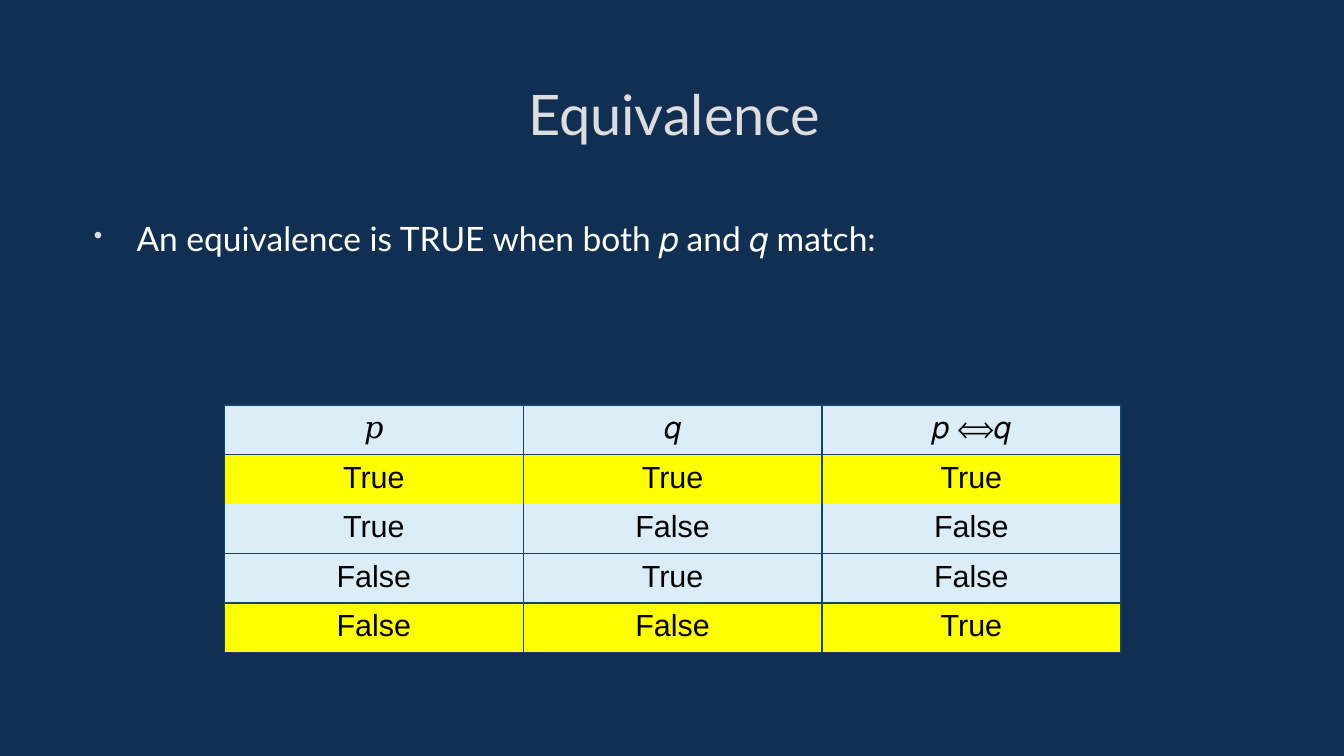
import pptx
import pptx.util
import pptx.dml.color
import pptx.enum.text
import pptx.oxml
import pptx.oxml.ns
import lxml.etree

RGBColor = pptx.dml.color.RGBColor
Inches = pptx.util.Inches
Pt = pptx.util.Pt
Align = pptx.enum.text.PP_ALIGN
Anchor = pptx.enum.text.MSO_ANCHOR

NAVY = RGBColor(0x11, 0x2F, 0x52)
BORDER_BLUE = RGBColor(0x17, 0x40, 0x6C)
PALE_BLUE = RGBColor(0xDB, 0xEE, 0xF8)
YELLOW = RGBColor(0xFF, 0xFF, 0x00)
SILVER = RGBColor(0xDD, 0xDD, 0xDD)
WHITE = RGBColor(0xFF, 0xFF, 0xFF)
BLACK = RGBColor(0x00, 0x00, 0x00)

HEADING = "Equivalence"
STATEMENT = "An equivalence is TRUE when both 𝑝 and 𝑞 match:"
TRUTH_TABLE = [
    ("𝑝", "𝑞", "𝑝 ⟺𝑞"),
    ("True", "True", "True"),
    ("True", "False", "False"),
    ("False", "True", "False"),
    ("False", "False", "True"),
]

WIDTH, HEIGHT = Inches(11.02), Inches(6.2)
MARGIN = Inches(0.65)
CONTENT_WIDTH = Inches(9.76)
TABLE_LEFT, TABLE_TOP = Inches(1.84), Inches(3.32)
TABLE_WIDTH, TABLE_HEIGHT = Inches(7.35), Inches(2.03)
BORDER_WIDTH = Pt(0.96)


def write(frame, text, font="Arial", size=18, color=BLACK, align=Align.CENTER):
    paragraph = frame.paragraphs[0]
    paragraph.alignment = align
    run = paragraph.add_run()
    run.text = text
    run.font.name = font
    run.font.size = Pt(size)
    run.font.color.rgb = color
    return paragraph


def add_text_area(slide, top, height, anchor):
    frame = slide.shapes.add_textbox(MARGIN, top, CONTENT_WIDTH, height).text_frame
    frame.word_wrap = True
    frame.vertical_anchor = anchor
    frame.margin_left = frame.margin_right = 0
    frame.margin_top = frame.margin_bottom = 0
    return frame


def add_child(parent, tag, **attributes):
    child = lxml.etree.SubElement(parent, pptx.oxml.ns.qn(tag))
    for name, value in attributes.items():
        child.set(name, str(value))
    return child


def add_bullet(paragraph, color):
    properties = paragraph._p.get_or_add_pPr()
    properties.set("marL", str(Inches(0.47)))
    properties.set("indent", str(Inches(-0.35)))
    add_child(add_child(properties, "a:buClr"), "a:srgbClr", val=color)
    add_child(properties, "a:buSzPct", val=75000)
    add_child(properties, "a:buChar", char="•")


def add_borders(cell, hidden_side):
    """Line every side of the cell but the hidden one; call before filling."""
    properties = cell._tc.get_or_add_tcPr()
    for side in ("L", "R", "T", "B"):
        if side == hidden_side:
            add_child(add_child(properties, "a:ln" + side, w=0), "a:noFill")
        else:
            line = add_child(properties, "a:ln" + side, w=BORDER_WIDTH)
            add_child(add_child(line, "a:solidFill"), "a:srgbClr", val=BORDER_BLUE)


def add_truth_table(slide):
    columns = len(TRUTH_TABLE[0])
    table = slide.shapes.add_table(len(TRUTH_TABLE), columns, TABLE_LEFT, TABLE_TOP,
                                   TABLE_WIDTH, TABLE_HEIGHT).table
    table.first_row = table.horz_banding = False
    open_sides = {1: "B", 2: "T"}
    for row, values in enumerate(TRUTH_TABLE):
        matches = row > 0 and values[0] == values[1]
        for column, value in enumerate(values):
            cell = table.cell(row, column)
            add_borders(cell, open_sides.get(row))
            cell.fill.solid()
            cell.fill.fore_color.rgb = YELLOW if matches else PALE_BLUE
            is_first = row == column == 0
            write(cell.text_frame, value, font="Times New Roman" if is_first else "Arial")


def main():
    deck = pptx.Presentation()
    deck.slide_width, deck.slide_height = WIDTH, HEIGHT
    slide = deck.slides.add_slide(deck.slide_layouts[6])
    slide.background.fill.solid()
    slide.background.fill.fore_color.rgb = NAVY

    heading = add_text_area(slide, Inches(0.38), Inches(1.09), Anchor.MIDDLE)
    write(heading, HEADING, font="Lato", size=33, color=SILVER)
    body = add_text_area(slide, Inches(1.79), Inches(3.58), Anchor.TOP)
    statement = write(body, STATEMENT, font="Lato", size=19.8, color=WHITE, align=Align.LEFT)
    add_bullet(statement, SILVER)
    add_truth_table(slide)
    deck.save("out.pptx")


if __name__ == "__main__":
    main()
